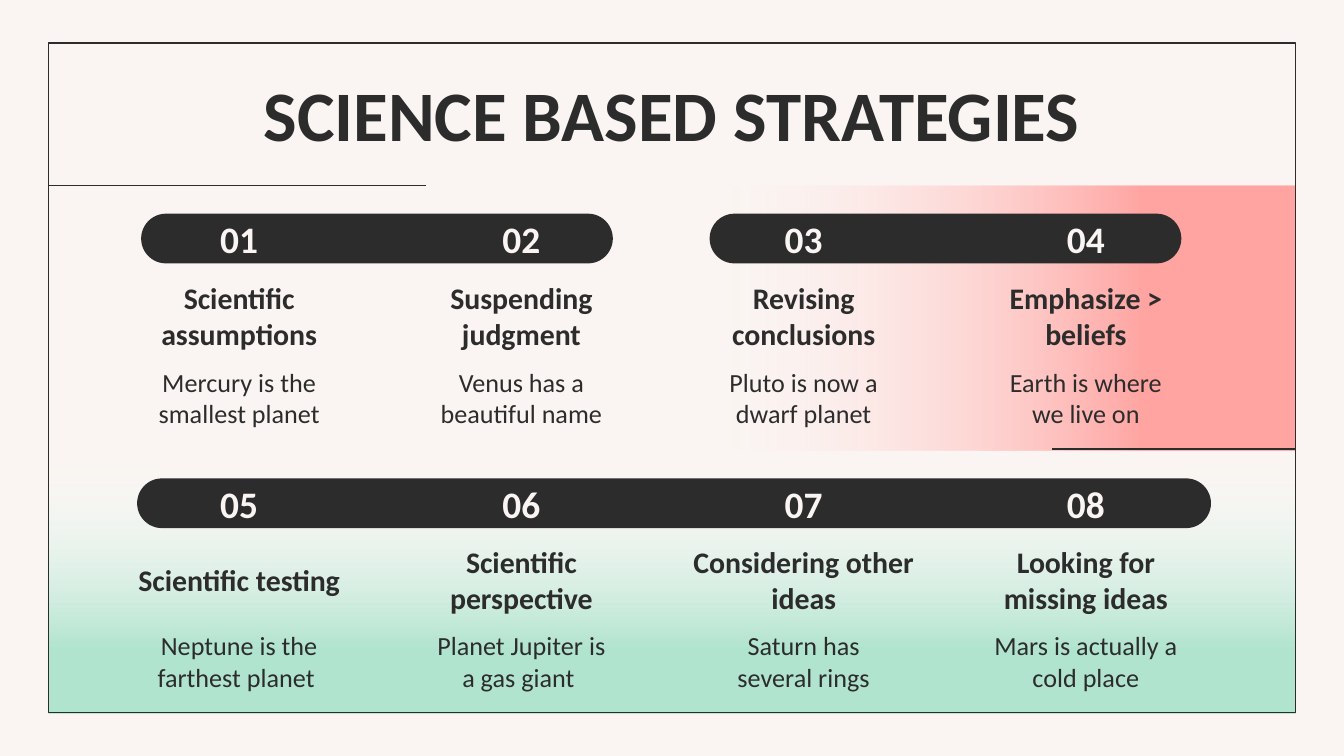
from dataclasses import dataclass

from lxml import etree
from pptx import Presentation
from pptx.dml.color import RGBColor
from pptx.enum.shapes import MSO_CONNECTOR, MSO_SHAPE
from pptx.enum.text import MSO_ANCHOR, PP_ALIGN
from pptx.oxml import parse_xml
from pptx.oxml.ns import nsdecls, qn
from pptx.util import Inches, Pt

DARK = RGBColor(0x2C, 0x2C, 0x2C)
CREAM = RGBColor(0xFA, 0xF5, 0xF2)
PINK = RGBColor(0xFF, 0xA4, 0xA1)
GREEN = RGBColor(0xB0, 0xE4, 0xCE)
FONT = "Calibri"
RECT = MSO_SHAPE.RECTANGLE
PILL = MSO_SHAPE.ROUNDED_RECTANGLE
LINE = MSO_CONNECTOR.STRAIGHT
MIDDLE = MSO_ANCHOR.MIDDLE
CENTER = PP_ALIGN.CENTER


@dataclass
class Box:
    left: float
    top: float
    width: float
    height: float

    def emu(self) -> list[int]:
        return [Inches(v) for v in (self.left, self.top, self.width, self.height)]


@dataclass
class Style:
    size: int
    bold: bool = True
    color: RGBColor = DARK
    after: int = 0


@dataclass
class Item:
    head: str
    body: str


@dataclass
class Row:
    num_top: float
    head_top: float
    body_top: float
    items: list[Item]


TITLE = Style(38)
HEAD = Style(16)
BODY = Style(14, bold=False, after=12)
NUM = Style(20, color=CREAM)

ROWS = [
    Row(1.59, 2.09, 2.7, [
        Item("Scientific assumptions", "Mercury is the smallest planet"),
        Item("Suspending judgment", "Venus has a beautiful name"),
        Item("Revising conclusions", "Pluto is now a dwarf planet"),
        Item("Emphasize > beliefs", "Earth is where we live on"),
    ]),
    Row(3.56, 4.05, 4.66, [
        Item("Scientific testing", "Neptune is the farthest planet "),
        Item("Scientific perspective", "Planet Jupiter is a gas giant "),
        Item("Considering other ideas", "Saturn has several rings"),
        Item("Looking for missing ideas", "Mars is actually a cold place"),
    ]),
]


def add_fade(slide, box: Box, color: RGBColor, angle: int) -> None:
    """Solid up to 24 %, then fading out to clear white."""
    shape = slide.shapes.add_shape(RECT, *box.emu())
    shape.shadow.inherit = False
    shape.line.fill.background()
    shape.rotation = 180
    fill = parse_xml(
        f'<a:gradFill {nsdecls("a")} rotWithShape="1"><a:gsLst>'
        f'<a:gs pos="0"><a:srgbClr val="{color}"/></a:gs>'
        f'<a:gs pos="24000"><a:srgbClr val="{color}"/></a:gs>'
        '<a:gs pos="100000"><a:srgbClr val="FFFFFF"><a:alpha val="0"/></a:srgbClr></a:gs>'
        f'</a:gsLst><a:lin ang="{angle * 60000}" scaled="0"/></a:gradFill>'
    )
    shape.element.spPr.find(qn("a:prstGeom")).addnext(fill)


def add_rule(slide, start: float, end: float, y: float) -> None:
    rule = slide.shapes.add_connector(
        LINE, Inches(start), Inches(y), Inches(end), Inches(y)
    )
    rule.line.color.rgb = DARK
    rule.line.width = Pt(0.75)
    etree.SubElement(rule.element.spPr, qn("a:effectLst"))


def add_pill(slide, box: Box) -> None:
    pill = slide.shapes.add_shape(PILL, *box.emu())
    pill.shadow.inherit = False
    pill.adjustments[0] = 0.5
    pill.fill.solid()
    pill.fill.fore_color.rgb = DARK
    pill.line.fill.background()


def add_text(slide, box: Box, text: str, style: Style) -> None:
    frame = slide.shapes.add_textbox(*box.emu()).text_frame
    frame.word_wrap = True
    frame.vertical_anchor = MIDDLE
    frame.margin_left = frame.margin_right = Inches(0.1)
    frame.margin_top = frame.margin_bottom = Inches(0.1)
    para = frame.paragraphs[0]
    para.text = text
    para.alignment = CENTER
    para.space_after = Pt(style.after)
    font = para.font
    font.name = FONT
    font.size = Pt(style.size)
    font.bold = style.bold
    font.color.rgb = style.color


def main() -> None:
    deck = Presentation()
    deck.slide_width, deck.slide_height = Inches(10), Inches(10 * 9 / 16)
    slide = deck.slides.add_slide(deck.slide_layouts[6])
    slide.background.fill.solid()
    slide.background.fill.fore_color.rgb = CREAM

    # Tinted areas, frame and rules
    add_fade(slide, Box(5, 1.38, 4.64, 1.97), PINK, 0)
    add_fade(slide, Box(0.36, 3.34, 9.28, 1.97), GREEN, 90)
    frame = slide.shapes.add_shape(RECT, *Box(0.36, 0.32, 9.28, 4.98).emu())
    frame.shadow.inherit = False
    frame.fill.background()
    frame.line.color.rgb = DARK
    frame.line.width = Pt(0.75)
    add_rule(slide, 0.36, 3.17, 1.38)
    add_rule(slide, 7.83, 9.64, 3.34)

    # Title
    add_text(slide, Box(0.8, 0.53, 8.4, 0.63), "SCIENCE BASED STRATEGIES", TITLE)

    # Bars behind the numbers
    for left, top, width in ((1.05, 1.59, 3.51), (1.02, 3.56, 7.99), (5.28, 1.59, 3.51)):
        add_pill(slide, Box(left, top, width, 0.37))

    # Two rows of four strategies, centred on evenly spaced columns
    count = 0
    for row in ROWS:
        for col, item in enumerate(row.items):
            mid = 1.78 + 2.1 * col
            count += 1
            for text, top, width, height, style in (
                (f"{count:02d}", row.num_top, 0.73, 0.37, NUM),
                (item.head, row.head_top, 1.85, 0.52, HEAD),
                (item.body, row.body_top, 1.57, 0.52, BODY),
            ):
                box = Box(mid - width / 2, top, width, height)
                add_text(slide, box, text, style)

    deck.save("out.pptx")


if __name__ == "__main__":
    main()
